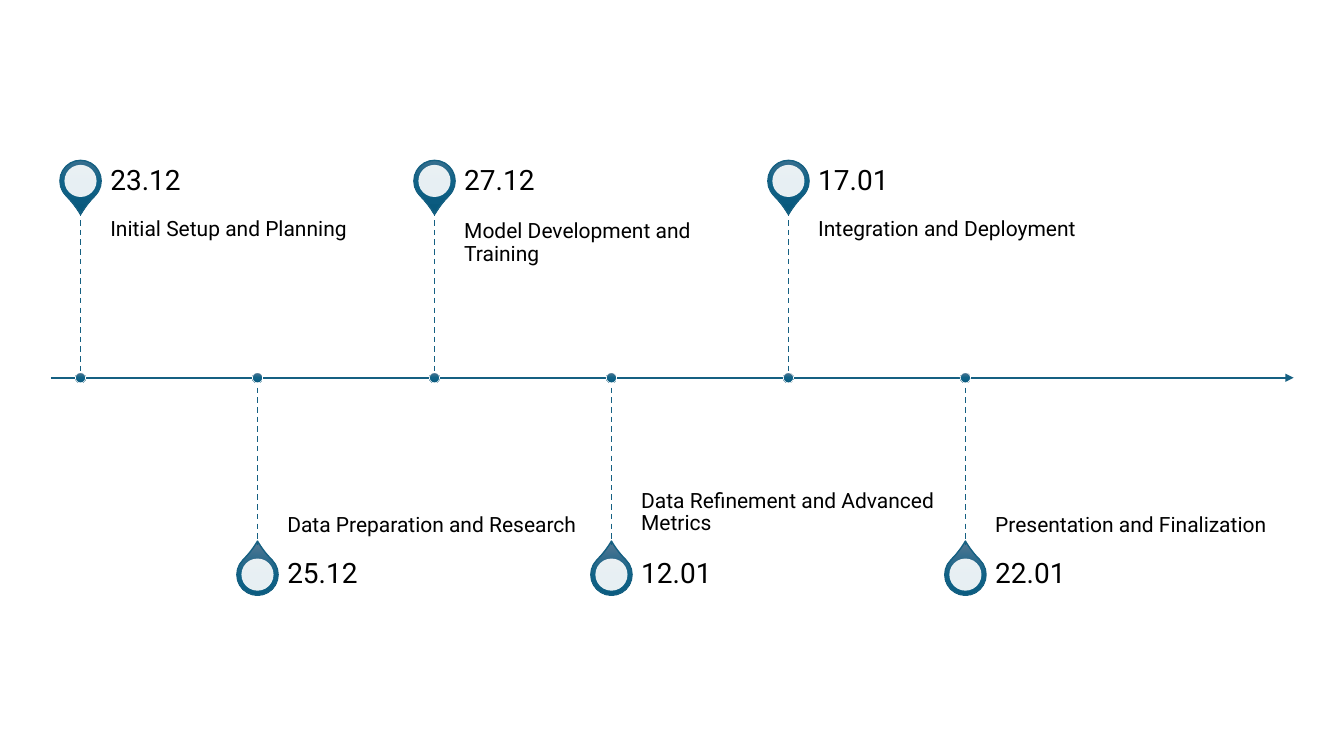
from lxml import etree
from pptx import Presentation
from pptx.dml.color import RGBColor
from pptx.enum.dml import MSO_LINE
from pptx.enum.shapes import MSO_CONNECTOR, MSO_SHAPE
from pptx.enum.text import MSO_ANCHOR
from pptx.oxml import parse_xml
from pptx.oxml.ns import nsdecls, qn
from pptx.util import Cm, Pt

TEARDROP, OVAL = MSO_SHAPE.TEAR, MSO_SHAPE.OVAL
STRAIGHT, DASH = MSO_CONNECTOR.STRAIGHT, MSO_LINE.DASH
TOP, MIDDLE, BOTTOM = MSO_ANCHOR.TOP, MSO_ANCHOR.MIDDLE, MSO_ANCHOR.BOTTOM

FONT = "Roboto"
COLORS = {
    "accent": "156082",
    "light": "4C7591",
    "medium": "106287",
    "deep": "09597D",
    "white": "FFFFFF",
    "text": "000000",
}
STOPS = {0: "light", 50: "medium", 100: "deep"}

AXIS_Y = 9.52
AXIS_LEFT, AXIS_RIGHT = 1.28, 32.6
FIRST_X, STEP = 2.03, 4.46
STEM, PIN_OFFSET = 4.22, 4.96
PIN, HOLE, DOT = 1.04, 0.81, 0.26
TEXT_GAP, TEXT_WIDTH, DATE_HEIGHT = 0.75, 7.44, 1.47

MILESTONES = [
    ("23.12", "Initial Setup and Planning"),
    ("25.12", "Data Preparation and Research"),
    ("27.12", "Model Development and Training"),
    ("12.01", "Data Refinement and Advanced Metrics"),
    ("17.01", "Integration and Deployment"),
    ("22.01", "Presentation and Finalization"),
]


def color(name):
    return RGBColor.from_string(COLORS[name])


def write_text(box, text, size, anchor, insets):
    frame = box.text_frame
    frame.word_wrap = True
    frame.vertical_anchor = anchor
    left, top, right, bottom = insets
    frame.margin_left, frame.margin_top = Cm(left), Cm(top)
    frame.margin_right, frame.margin_bottom = Cm(right), Cm(bottom)
    para = frame.paragraphs[0]
    para.line_spacing = 0.9
    span = para.add_run()
    span.text = text
    span.font.name = FONT
    span.font.size = Pt(size)
    span.font.color.rgb = color("text")


class Timeline:
    def __init__(self, page):
        self.page = page

    def line(self, start, end, width, dash=None, arrow=False):
        points = [Cm(value) for value in (*start, *end)]
        connector = self.page.shapes.add_connector(STRAIGHT, *points)
        connector.line.color.rgb = color("accent")
        connector.line.width = Pt(width)
        if dash:
            connector.line.dash_style = dash
        if arrow:
            outline = connector.line._get_or_add_ln()
            etree.SubElement(outline, qn("a:tailEnd"), type="triangle")
        etree.SubElement(connector._element.spPr, qn("a:effectLst"))

    def centred_shape(self, kind, x, y, size):
        shape = self.page.shapes.add_shape(
            kind, Cm(x - size / 2), Cm(y - size / 2), Cm(size), Cm(size))
        shape.shadow.inherit = False
        return shape

    def gradient_shape(self, kind, x, y, size, line_color, line_width):
        shape = self.centred_shape(kind, x, y, size)
        shape.fill.gradient()
        stops = "".join(
            f'<a:gs pos="{position * 1000}"><a:srgbClr val="{COLORS[name]}"/></a:gs>'
            for position, name in STOPS.items())
        gradient = parse_xml(
            f'<a:gradFill {nsdecls("a")} rotWithShape="0"><a:gsLst>{stops}</a:gsLst>'
            '<a:lin ang="5400000" scaled="0"/></a:gradFill>')
        properties = shape._element.spPr
        properties.replace(properties.find(qn("a:gradFill")), gradient)
        shape.line.color.rgb = color(line_color)
        shape.line.width = Pt(line_width)
        return shape

    def pin(self, x, y, rotation):
        drop = self.gradient_shape(TEARDROP, x, y, PIN, "accent", 1)
        drop.adjustments[0] = 1.15
        drop.rotation = rotation
        hole = self.centred_shape(OVAL, x, y, HOLE)
        hole.fill.solid()
        hole.fill.fore_color.rgb = color("white")
        hole.line.fill.background()
        tint = hole._element.spPr.find(qn("a:solidFill"))[0]
        etree.SubElement(tint, qn("a:alpha"), val="90000")

    def label(self, text, x, y, height, **style):
        box = self.page.shapes.add_textbox(Cm(x), Cm(y), Cm(TEXT_WIDTH), Cm(height))
        write_text(box, text, **style)

    def milestone(self, x, date, title, above):
        side = -1 if above else 1
        pin_y = AXIS_Y + side * PIN_OFFSET
        text_x = x + TEXT_GAP
        self.pin(x, pin_y, 135 if above else 315)
        self.label(title, text_x, AXIS_Y - STEM if above else AXIS_Y, STEM, size=15,
                   anchor=TOP if above else BOTTOM,
                   insets=(0, 0.25, 0.25, 0.41) if above else (0, 0.41, 0, 0.25))
        self.label(date, text_x, pin_y - DATE_HEIGHT / 2, DATE_HEIGHT, size=20,
                   anchor=MIDDLE, insets=(0, 0, 0.36, 0))
        ends = sorted([AXIS_Y, AXIS_Y + side * STEM])
        self.line((x, ends[0]), (x, ends[1]), 1, dash=DASH)
        self.gradient_shape(OVAL, x, AXIS_Y, DOT, "white", 0.5)


def main():
    deck = Presentation()
    deck.slide_width, deck.slide_height = Cm(33.87), Cm(19.05)
    timeline = Timeline(deck.slides.add_slide(deck.slide_layouts[6]))
    timeline.line((AXIS_LEFT, AXIS_Y), (AXIS_RIGHT, AXIS_Y), 1.5, arrow=True)
    for index, (date, title) in enumerate(MILESTONES):
        timeline.milestone(FIRST_X + index * STEP, date, title, above=index % 2 == 0)
    deck.save("out.pptx")


if __name__ == "__main__":
    main()
